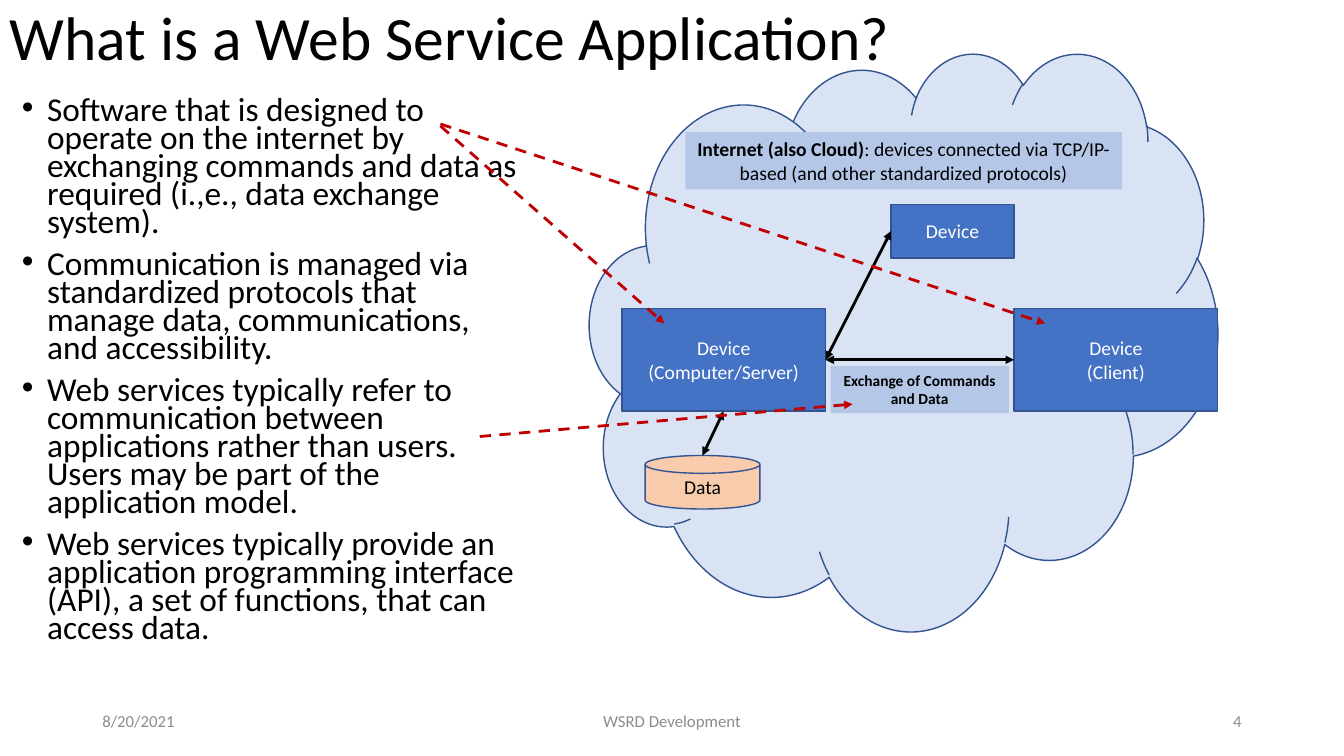
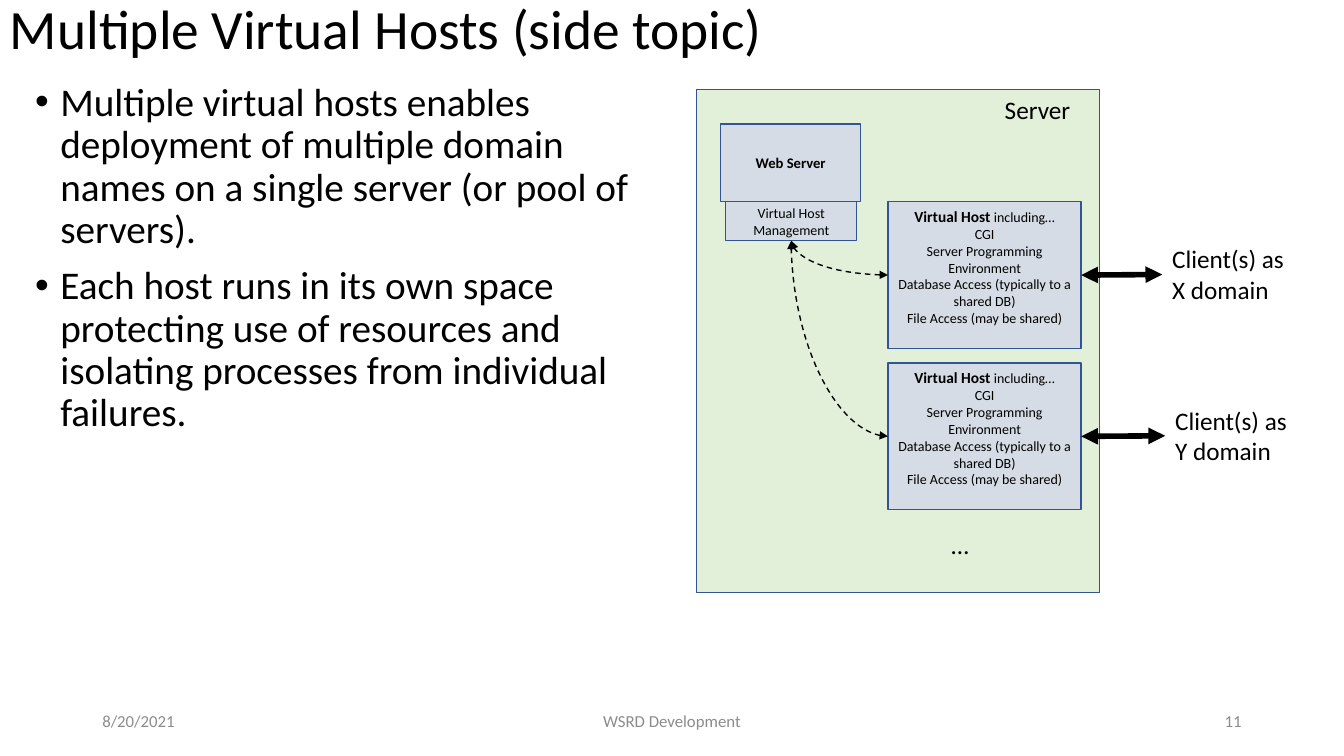
from dataclasses import dataclass

from lxml.etree import SubElement
from pptx import Presentation
from pptx.dml.color import RGBColor
from pptx.enum.dml import MSO_LINE
from pptx.enum.shapes import MSO_CONNECTOR, MSO_SHAPE
from pptx.enum.text import MSO_ANCHOR, PP_ALIGN
from pptx.oxml.ns import qn
from pptx.shapes.autoshape import Shape
from pptx.shapes.connector import Connector
from pptx.slide import Slide
from pptx.text.text import TextFrame
from pptx.util import Pt

FONT = "Calibri"
BLACK = RGBColor(0x00, 0x00, 0x00)
WHITE = RGBColor(0xFF, 0xFF, 0xFF)
GRAY = RGBColor(0x8C, 0x8C, 0x8C)
NAVY = RGBColor(0x32, 0x54, 0x91)
BLUE = RGBColor(0x44, 0x72, 0xC4)
LIGHT_BLUE = RGBColor(0xB4, 0xC7, 0xE7)
PALE_BLUE = RGBColor(0xDA, 0xE3, 0xF3)
BLUE_GRAY = RGBColor(0xD6, 0xDC, 0xE5)
PEACH = RGBColor(0xF8, 0xCB, 0xAD)
PALE_GREEN = RGBColor(0xE2, 0xF0, 0xD9)
RED = RGBColor(0xC0, 0x00, 0x00)

LEFT, CENTER, RIGHT = PP_ALIGN.LEFT, PP_ALIGN.CENTER, PP_ALIGN.RIGHT
TOP, MIDDLE = MSO_ANCHOR.TOP, MSO_ANCHOR.MIDDLE
LEFT_SIDE, BOTTOM_SIDE, RIGHT_SIDE = 1, 2, 3


@dataclass(frozen=True)
class Area:
    left: float
    top: float
    width: float
    height: float

    @property
    def middle(self) -> float:
        return self.top + self.height / 2

    def down(self, offset: float) -> "Area":
        return Area(self.left, self.top + offset, self.width, self.height)


@dataclass(frozen=True)
class Span:
    text: str
    bold: bool = False
    size: float | None = None


@dataclass(frozen=True)
class Footer:
    text: str
    left: float
    width: float
    align: PP_ALIGN


@dataclass(frozen=True)
class Client:
    text: str
    left: float
    width: float


Point = tuple[float, float]
Paragraphs = list[str | list[Span]]

HOST_TEXT: Paragraphs = [
    [Span("Virtual Host", bold=True, size=11), Span(" including…")],
    "CGI",
    "Server Programming Environment",
    "Database Access (typically to a shared DB)",
    "File Access (may be shared)",
]
CLIENTS = [
    Client("Client(s) as X domain", 830.2, 98),
    Client("Client(s) as Y domain", 832.3, 105),
]
HOST_PITCH = 115.2


def write_text(frame: TextFrame, paragraphs: Paragraphs, *, size: float,
               color: RGBColor = BLACK, bold: bool = False,
               align: PP_ALIGN = LEFT, anchor: MSO_ANCHOR = TOP,
               wrap: bool = True, spacing: float = 1.0,
               bullets: bool = False) -> None:
    frame.word_wrap = wrap
    frame.vertical_anchor = anchor
    for index, content in enumerate(paragraphs):
        para = frame.add_paragraph() if index else frame.paragraphs[0]
        para.alignment = align
        para.line_spacing = spacing
        if bullets:
            add_bullet(para)
        spans = [Span(content, bold)] if isinstance(content, str) else content
        for span in spans:
            run = para.add_run()
            run.text = span.text
            run.font.name = FONT
            run.font.size = Pt(span.size or size)
            run.font.bold = span.bold
            run.font.color.rgb = color


def add_bullet(para) -> None:
    para.space_before = Pt(10)
    properties = para._p.get_or_add_pPr()
    properties.set("marL", str(Pt(18)))
    properties.set("indent", str(-Pt(18)))
    SubElement(properties, qn("a:buFont"), typeface="Arial")
    SubElement(properties, qn("a:buChar"), char="•")


def add_text(page: Slide, area: Area, *paragraphs: str, **text_format) -> Shape:
    box = page.shapes.add_textbox(
        Pt(area.left), Pt(area.top), Pt(area.width), Pt(area.height))
    write_text(box.text_frame, list(paragraphs), **text_format)
    return box


def add_block(page: Slide, area: Area, fill: RGBColor,
              paragraphs: Paragraphs | None = None, *,
              kind: MSO_SHAPE = MSO_SHAPE.RECTANGLE, outlined: bool = True,
              size: float = 14, anchor: MSO_ANCHOR = MIDDLE,
              **text_format) -> Shape:
    """Draw a filled shape with centred text."""
    block = page.shapes.add_shape(
        kind, Pt(area.left), Pt(area.top), Pt(area.width), Pt(area.height))
    block.shadow.inherit = False
    block.fill.solid()
    block.fill.fore_color.rgb = fill
    if outlined:
        block.line.color.rgb = NAVY
        block.line.width = Pt(1)
    else:
        block.line.fill.background()
    if paragraphs:
        write_text(block.text_frame, paragraphs, size=size, align=CENTER,
                   anchor=anchor, **text_format)
    return block


def add_arrow(page: Slide, start: Point | tuple[Shape, int],
              end: Point | tuple[Shape, int], *, color: RGBColor = BLACK,
              width: float = 2, dashed: bool = False, double: bool = True,
              curved: bool = False) -> Connector:
    """Draw an arrow; each end is a point or a shape with its side number."""
    shapes_joined = [isinstance(place[0], Shape) for place in (start, end)]
    points = [(0, 0) if joined else place
              for joined, place in zip(shapes_joined, (start, end))]
    kind = MSO_CONNECTOR.CURVE if curved else MSO_CONNECTOR.STRAIGHT
    arrow = page.shapes.add_connector(
        kind, *(Pt(value) for point in points for value in point))
    if shapes_joined[0]:
        arrow.begin_connect(*start)
    if shapes_joined[1]:
        arrow.end_connect(*end)
    arrow.line.color.rgb = color
    arrow.line.width = Pt(width)
    if dashed:
        arrow.line.dash_style = MSO_LINE.DASH
    properties = arrow.element.spPr
    if curved:
        properties.find(qn("a:prstGeom")).set("prst", "curvedConnector2")
    outline = properties.find(qn("a:ln"))
    if double:
        SubElement(outline, qn("a:headEnd"), type="triangle")
    SubElement(outline, qn("a:tailEnd"), type="triangle")
    SubElement(properties, qn("a:effectLst"))
    return arrow


def add_page(deck: Presentation, title: str, number: int, *,
             title_size: float, title_height: float) -> Slide:
    """Add a slide with the shared title and footers."""
    page = deck.slides.add_slide(deck.slide_layouts[6])
    add_text(page, Area(0, 0, 828, title_height), title, size=title_size,
             anchor=MIDDLE, spacing=0.9)
    footers = [
        Footer("8/20/2021", 66, 216, LEFT),
        Footer("WSRD Development", 318, 324, CENTER),
        Footer(str(number), 678, 216, RIGHT),
    ]
    for footer in footers:
        add_text(page, Area(footer.left, 500.5, footer.width, 28.8), footer.text,
                 size=12, color=GRAY, align=footer.align, anchor=MIDDLE)
    return page


def build_web_service_page(deck: Presentation) -> None:
    page = add_page(deck, "What is a Web Service Application?", 4,
                    title_size=44, title_height=58.3)
    add_text(
        page, Area(8.6, 67, 368.6, 426),
        "Software that is designed to operate on the internet by exchanging "
        "commands and data as required (i.,e., data exchange system).",
        "Communication is managed via standardized protocols that manage data, "
        "communications, and accessibility.",
        "Web services typically refer to communication between applications "
        "rather than users. Users may be part of the application model.",
        "Web services typically provide an application programming interface "
        "(API), a set of functions, that can access data.",
        size=23.8, spacing=0.7, bullets=True)

    add_block(page, Area(421.2, 37.4, 448.6, 412.6), PALE_BLUE,
              kind=MSO_SHAPE.CLOUD)
    add_block(page, Area(489.6, 94.4, 311.8, 41), LIGHT_BLUE,
              [[Span("Internet (also Cloud)", bold=True),
                Span(": devices connected via TCP/IP-based (and other "
                     "standardized protocols)")]],
              outlined=False, anchor=TOP)
    server = add_block(page, Area(444.2, 220.3, 145.5, 73.4), BLUE,
                       ["Device", "(Computer/Server)"], color=WHITE)
    client = add_block(page, Area(724.3, 220.3, 145.5, 73.4), BLUE,
                       ["Device", "(Client)"], color=WHITE)
    data = Area(460.8, 325.4, 82, 38.2)
    add_block(page, data, PEACH, ["Data"],
              kind=MSO_SHAPE.FLOWCHART_MAGNETIC_DISK)
    device = add_block(page, Area(636.5, 146, 87.8, 38.2), BLUE, ["Device"],
                       color=WHITE)
    add_arrow(page, (server, BOTTOM_SIDE),
              (data.left + data.width / 2, data.top))
    for source in (client, device):
        add_arrow(page, (source, LEFT_SIDE), (server, RIGHT_SIDE))
    add_block(page, Area(593.3, 261.4, 127.4, 33.8), LIGHT_BLUE,
              ["Exchange of Commands and Data"], outlined=False, size=11,
              bold=True, anchor=TOP)

    callouts = [
        ((314.6, 88.6), (746.6, 231)),
        ((314.6, 90), (474.5, 231)),
        ((342.7, 311.8), (609, 288.7)),
    ]
    for start, end in callouts:
        add_arrow(page, start, end, color=RED, dashed=True, double=False)


def build_virtual_hosts_page(deck: Presentation) -> None:
    page = add_page(deck, "Multiple Virtual Hosts (side topic)", 11,
                    title_size=39.6, title_height=44.6)
    add_text(
        page, Area(18, 55.4, 457.2, 430.6),
        "Multiple virtual hosts enables deployment of multiple domain names on "
        "a single server (or pool of servers).",
        "Each host runs in its own space protecting use of resources and "
        "isolating processes from individual failures.",
        size=28, spacing=0.9, bullets=True)

    add_block(page, Area(497.5, 64, 288, 359.3), PALE_GREEN)
    add_text(page, Area(710.6, 64, 62, 28.8), "Server", size=18, wrap=False)
    add_text(page, Area(672.5, 374.4, 31, 28.8), "…", size=18, wrap=False)
    manager = Area(518.4, 144, 93.6, 28)
    add_block(page, manager, BLUE_GRAY, ["Virtual Host Management"], size=10)
    add_block(page, Area(514.8, 88.6, 100, 55.4), BLUE_GRAY, ["Web Server"],
              size=10.5, bold=True)

    manager_bottom = (manager.left + manager.width / 2,
                      manager.top + manager.height)
    for index, client in enumerate(CLIENTS):
        offset = index * HOST_PITCH
        area = Area(634.3, 144, 138, 105).down(offset)
        host = add_block(page, area, BLUE_GRAY, HOST_TEXT, size=10)
        host.text_frame.margin_bottom = Pt(15.6)
        label = add_text(page,
                         Area(client.left, 170.6, client.width, 51).down(offset),
                         client.text, size=18)
        add_arrow(page, (label, LEFT_SIDE), (host, RIGHT_SIDE), width=4)
        add_arrow(page, (area.left, area.middle), manager_bottom, width=1,
                  dashed=True, curved=True)


def main() -> None:
    deck = Presentation()
    deck.slide_width, deck.slide_height = Pt(960), Pt(540)
    build_web_service_page(deck)
    build_virtual_hosts_page(deck)
    deck.save("out.pptx")


if __name__ == "__main__":
    main()
